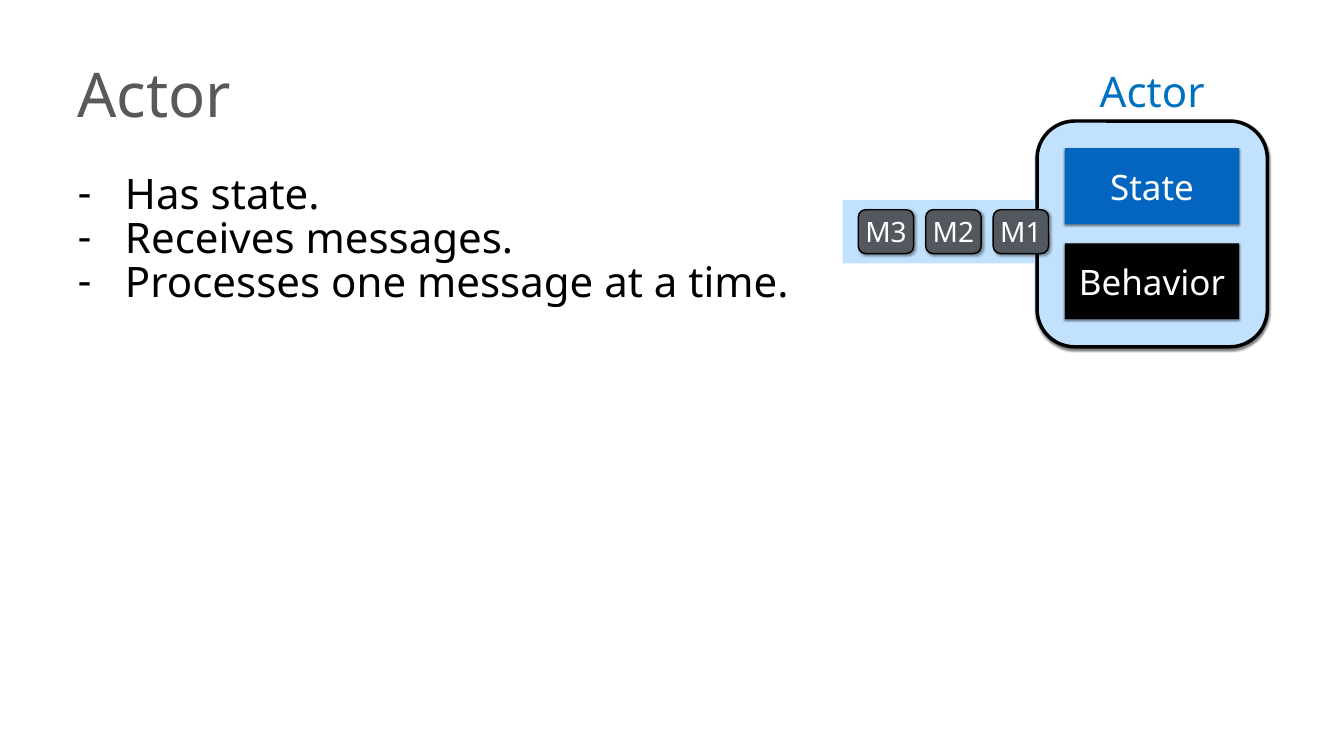
"""Build a slide that explains an actor with its state, behavior and mailbox."""
from dataclasses import dataclass
from typing import Any

from lxml.etree import SubElement
from pptx import Presentation
from pptx.dml.color import RGBColor
from pptx.enum.shapes import MSO_SHAPE
from pptx.enum.text import MSO_ANCHOR, MSO_AUTO_SIZE, PP_ALIGN
from pptx.oxml.ns import qn
from pptx.util import Cm, Pt


def color(value):
    return RGBColor.from_string(value)


@dataclass
class ActorSlide:
    slide: Any
    font: str = "Noto Sans"
    black: str = "000000"
    white: str = "FFFFFF"
    gray: str = "595959"
    pale: str = "C1E1FE"
    blue: str = "0365C0"
    slate: str = "53585F"
    label_blue: str = "0070C0"
    panel_shadow = (50, 3, 2, 90)
    message_shadow = (40, 4, 3, 45)

    def place(self, shape, left, top, width, height):
        shape.left, shape.top = Cm(left), Cm(top)
        shape.width, shape.height = Cm(width), Cm(height)

    def frame(self, shape, anchor, margins):
        text_frame = shape.text_frame
        text_frame.word_wrap = True
        text_frame.auto_size = MSO_AUTO_SIZE.NONE
        text_frame.vertical_anchor = anchor
        (text_frame.margin_left, text_frame.margin_top,
         text_frame.margin_right, text_frame.margin_bottom) = map(Cm, margins)
        return text_frame

    def add_text(self, paragraph, text, size, fill, align):
        paragraph.alignment = align
        run = paragraph.add_run()
        run.text = text
        run.font.name = self.font
        run.font.size = Pt(size)
        run.font.color.rgb = color(fill)

    def title(self, text, box):
        shape = self.slide.shapes.title
        self.place(shape, *box)
        text_frame = self.frame(shape, MSO_ANCHOR.TOP, (0.25, 0, 0, 0))
        self.add_text(text_frame.paragraphs[0], text, 88, self.gray, PP_ALIGN.LEFT)

    def dash_list(self, items, box):
        shape = self.slide.placeholders[1]
        self.place(shape, *box)
        text_frame = self.frame(shape, MSO_ANCHOR.TOP, (0.25, 0.33, 0.25, 0))
        for index, item in enumerate(items):
            paragraph = text_frame.add_paragraph() if index else text_frame.paragraphs[0]
            paragraph.line_spacing = 0.87
            paragraph.space_before = Pt(0)
            properties = paragraph._p.get_or_add_pPr()
            properties.set("marL", str(Cm(2.39)))
            properties.set("indent", str(-Cm(2.39)))
            SubElement(properties, qn("a:buChar"), char="-")
            self.add_text(paragraph, item, 60, self.black, PP_ALIGN.LEFT)

    def label(self, text, box):
        shape = self.slide.shapes.add_textbox(*map(Cm, box))
        text_frame = self.frame(shape, MSO_ANCHOR.TOP, (0, 0, 0, 0))
        self.add_text(text_frame.paragraphs[0], text, 60, self.label_blue, PP_ALIGN.CENTER)

    def block(self, preset, box, fill, line_width=0, shadow=None, text="", size=50):
        shape = self.slide.shapes.add_shape(preset, *map(Cm, box))
        shape.fill.solid()
        shape.fill.fore_color.rgb = color(fill)
        if line_width:
            shape.line.color.rgb = color(self.black)
            shape.line.width = Pt(line_width)
        else:
            shape.line.fill.background()
        shape.shadow.inherit = False
        if shadow:
            self.cast_shadow(shape, *shadow)
        if text:
            text_frame = self.frame(shape, MSO_ANCHOR.MIDDLE, (0.15,) * 4)
            self.add_text(text_frame.paragraphs[0], text, size, self.white, PP_ALIGN.CENTER)

    def cast_shadow(self, shape, opacity, blur, distance, angle):
        effects = shape._element.spPr.find(qn("a:effectLst"))
        outer = SubElement(effects, qn("a:outerShdw"), blurRad=str(Pt(blur)),
                           dist=str(Pt(distance)), dir=str(angle * 60000), rotWithShape="0")
        shade = SubElement(outer, qn("a:srgbClr"), val=self.black)
        SubElement(shade, qn("a:alpha"), val=str(opacity * 1000))


def main():
    presentation = Presentation()
    presentation.slide_width, presentation.slide_height = Cm(67.74), Cm(38.1)
    page = ActorSlide(presentation.slides.add_slide(presentation.slide_layouts[1]))

    page.title("Actor", (3.66, 2.84, 8.36, 4.01))
    page.dash_list(
        ["Has state.", "Receives messages.", "Processes one message at a time."],
        (3.66, 8.46, 61.01, 27.2),
    )

    page.block(MSO_SHAPE.ROUNDED_RECTANGLE, (52.27, 6.1, 11.61, 11.38),
               page.pale, 5, page.panel_shadow)
    for row, (text, fill) in enumerate([("State", page.blue), ("Behavior", page.black)]):
        page.block(MSO_SHAPE.RECTANGLE, (53.67, 7.47 + row * 4.8, 8.79, 3.81),
                   fill, shadow=page.panel_shadow, text=text)

    page.block(MSO_SHAPE.RECTANGLE, (42.47, 10.08, 9.68, 3.2), page.pale)
    for position in range(3):
        page.block(MSO_SHAPE.ROUNDED_RECTANGLE, (50.06 - position * 3.4, 10.57, 2.79, 2.21),
                   page.slate, 2, page.message_shadow, f"M{position + 1}", 40)
    page.label("Actor", (55.25, 3.28, 5.64, 2.82))

    presentation.save("out.pptx")


if __name__ == "__main__":
    main()
